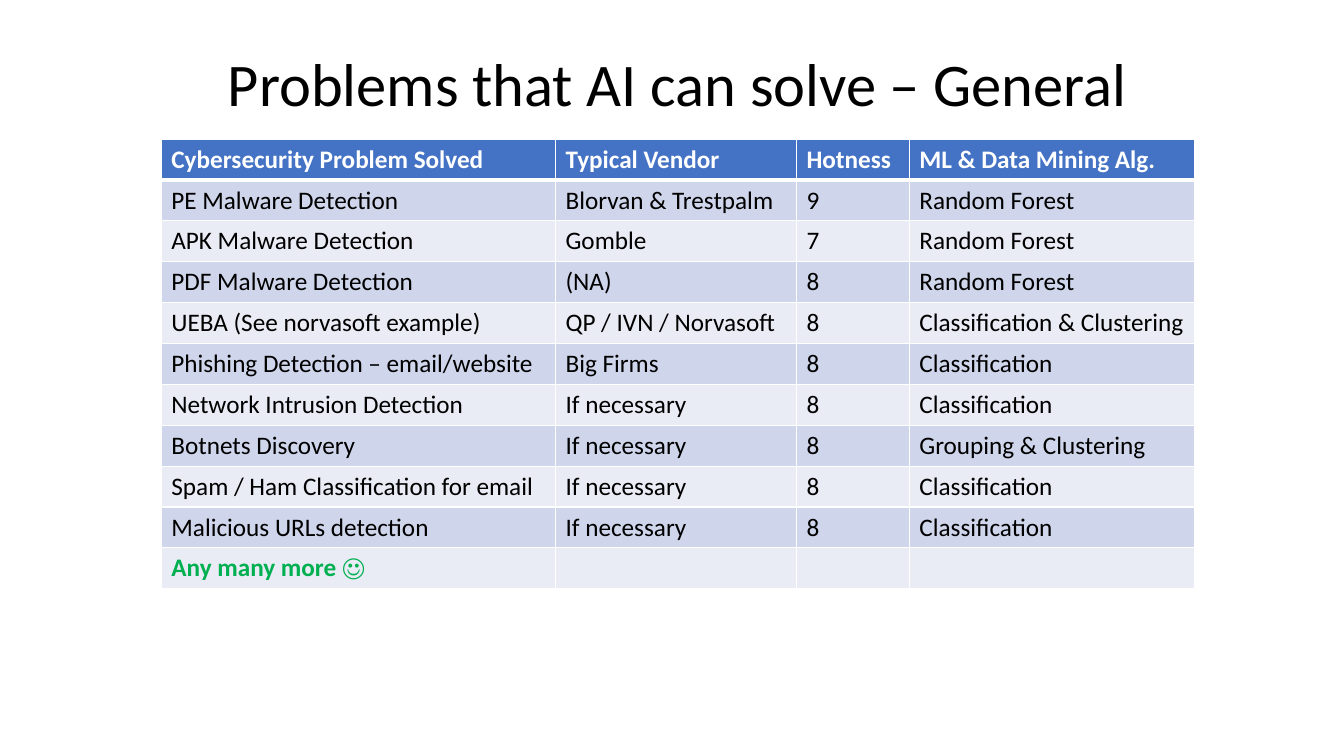
from lxml import etree
from pptx import Presentation
from pptx.dml.color import RGBColor
from pptx.enum.text import MSO_ANCHOR, PP_ALIGN
from pptx.oxml.ns import qn
from pptx.util import Inches, Pt

BOTTOM = MSO_ANCHOR.BOTTOM
CENTER = PP_ALIGN.CENTER
FONT = "Calibri"
HUES = {"head": "4472C4", "odd": "CFD5EA", "even": "E9EBF5",
        "white": "FFFFFF", "black": "000000", "green": "00B050"}

# Table grid in inches
LEFT, TOP = 1.6, 1.38
COLS = [3.91, 2.39, 1.12, 2.83]
ROW = 0.405

DATA = [
    ("Cybersecurity Problem Solved", "Typical Vendor", "Hotness",
     "ML & Data Mining Alg."),
    ("PE Malware Detection", "Blorvan & Trestpalm", "9", "Random Forest"),
    ("APK Malware Detection", "Gomble", "7", "Random Forest"),
    ("PDF Malware Detection", "(NA)", "8", "Random Forest"),
    ("UEBA (See norvasoft example)", "QP / IVN / Norvasoft", "8",
     "Classification & Clustering"),
    ("Phishing Detection – email/website", "Big Firms", "8", "Classification"),
    ("Network Intrusion Detection", "If necessary", "8", "Classification"),
    ("Botnets Discovery", "If necessary", "8", "Grouping & Clustering"),
    ("Spam / Ham Classification for email", "If necessary", "8",
     "Classification"),
    ("Malicious URLs detection", "If necessary", "8", "Classification"),
    ("Any many more ☺", "", "", ""),
]


def style(para, size, hue, bold=False):
    for run in para.runs:
        run.font.name = FONT
        run.font.size = Pt(size)
        run.font.bold = bold
        run.font.color.rgb = RGBColor.from_string(HUES[hue])


def add_title(slide, text):
    title = slide.shapes.title
    title.left, title.top = Inches(0.66), Inches(0.86)
    title.width, title.height = Inches(12.12), Inches(1.04)
    frame = title.text_frame
    frame.text = text
    frame.word_wrap = True
    frame.vertical_anchor = BOTTOM
    frame.margin_bottom = Inches(0.71)
    para = frame.paragraphs[0]
    para.alignment = CENTER
    para.line_spacing = 0.9
    style(para, 43.2, "black")


def add_edges(cell, widths):
    props = cell._tc.get_or_add_tcPr()
    for side, width in widths.items():
        line = etree.SubElement(props, qn("a:ln" + side), w=str(Pt(width)))
        fill = etree.SubElement(line, qn("a:solidFill"))
        etree.SubElement(fill, qn("a:srgbClr"), val=HUES["white"])


def fill_cell(cell, text, row, last):
    # The rule under the header is thicker than the others
    add_edges(cell, {"L": 1, "R": 1, "T": 3 if row == 1 else 1,
                     "B": 3 if row == 0 else 1})
    back = "head" if row == 0 else "odd" if row % 2 else "even"
    cell.fill.solid()
    cell.fill.fore_color.rgb = RGBColor.from_string(HUES[back])
    cell.text_frame.text = text
    hue = "white" if row == 0 else "green" if row == last else "black"
    style(cell.text_frame.paragraphs[0], 18, hue, row in (0, last))


def add_grid(slide, data):
    frame = slide.shapes.add_table(
        len(data), len(COLS), Inches(LEFT), Inches(TOP),
        Inches(sum(COLS)), Inches(ROW * len(data)))
    table = frame.table
    for col, width in zip(table.columns, COLS):
        col.width = Inches(width)
    for row, texts in enumerate(data):
        table.rows[row].height = Inches(ROW)
        for col, text in enumerate(texts):
            fill_cell(table.cell(row, col), text, row, len(data) - 1)


def main():
    deck = Presentation()
    deck.slide_width, deck.slide_height = Inches(13.33), Inches(7.5)
    slide = deck.slides.add_slide(deck.slide_layouts[5])
    add_grid(slide, DATA)
    add_title(slide, "Problems that AI can solve – General")
    deck.save("out.pptx")


if __name__ == "__main__":
    main()
